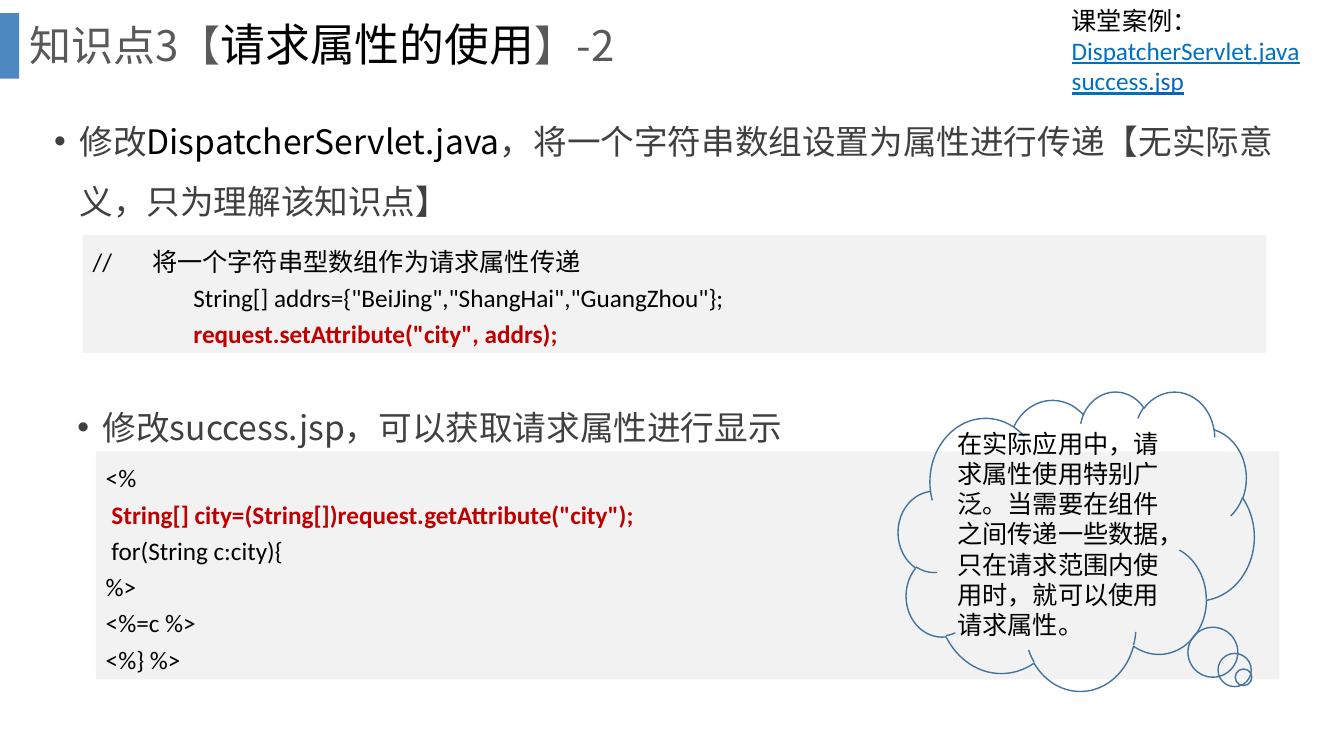
from lxml.etree import SubElement
from pptx import Presentation
from pptx.dml.color import RGBColor
from pptx.enum.shapes import MSO_SHAPE as Preset
from pptx.enum.text import MSO_ANCHOR as Anchor, PP_ALIGN as Align
from pptx.oxml.ns import qn
from pptx.util import Inches, Pt

BLUE = RGBColor(0x2E, 0x75, 0xB6)
OUTLINE = RGBColor(0x43, 0x73, 0x9E)
PANEL = RGBColor(0xF2, 0xF2, 0xF2)
BLACK = RGBColor(0, 0, 0)
TITLE_GREY = RGBColor(0x59, 0x59, 0x59)
BODY_GREY = RGBColor(0x40, 0x40, 0x40)
RED = RGBColor(0xC0, 0, 0)
FILE_BLUE = RGBColor(0, 0x70, 0xC0)
LINK_BLUE = RGBColor(0x05, 0x63, 0xC1)
CJK, LATIN = "Noto Sans CJK SC", "Calibri"

# Run formats: colour and font values
HEADING = (TITLE_GREY, {"name": CJK, "size": Pt(30)})
TOPIC = (BLACK, {"name": LATIN, "size": Pt(32)})
POINT = (BODY_GREY, {"name": CJK, "size": Pt(24)})
POINT_FILE = (BLACK, {"name": CJK, "size": Pt(24)})
PLAIN = (BLACK, {"name": LATIN, "size": Pt(18)})
KEY = (RED, {"name": LATIN, "size": Pt(18), "bold": True})
FILE = (FILE_BLUE, {"name": LATIN, "size": Pt(18), "underline": True})
LINK = (LINK_BLUE, {"name": LATIN, "size": Pt(18), "underline": True})

deck = Presentation()
deck.slide_width, deck.slide_height = Inches(13.33), Inches(7.5)
slide = deck.slides.add_slide(deck.slide_layouts[6])


def place(left, top, width, height):
    """Turn percentages of the slide into lengths."""
    across, down = deck.slide_width / 100, deck.slide_height / 100
    return [round(n) for n in (left * across, top * down, width * across, height * down)]


def write(frame, paragraphs, spacing=1.0, bullet=False, anchor=Anchor.TOP):
    """Fill a frame with paragraphs, each a list of (text, format) runs."""
    frame.word_wrap = True
    frame.vertical_anchor = anchor
    for i, runs in enumerate(paragraphs):
        paragraph = frame.paragraphs[0] if i == 0 else frame.add_paragraph()
        paragraph.alignment = Align.LEFT
        paragraph.line_spacing = spacing
        if bullet:
            properties = paragraph._p.get_or_add_pPr()
            properties.set("marL", str(Inches(0.25)))
            properties.set("indent", str(-Inches(0.25)))
            SubElement(properties, qn("a:buFont"), typeface="Arial")
            SubElement(properties, qn("a:buChar"), char="•")
        for text, (colour, values) in runs:
            run = paragraph.add_run()
            run.text = text
            run.font.color.rgb = colour
            for key, value in values.items():
                setattr(run.font, key, value)
            SubElement(run._r.get_or_add_rPr(), qn("a:ea"), typeface=CJK)


# Title with its accent bar
accent = slide.shapes.add_shape(Preset.RECTANGLE, *place(0, 1.73, 1.43, 8.67))
accent.shadow.inherit = False
accent.fill.solid()
accent.fill.fore_color.rgb = BLUE
SubElement(accent.fill._xPr.find(".//" + qn("a:srgbClr")), qn("a:alpha"), val="85000")
accent.line.fill.background()

title = slide.shapes.add_textbox(*place(1.43, 0, 94.97, 12.4))
write(title.text_frame, [[("知识点3【", HEADING), ("请求属性的使用", TOPIC), ("】-2", HEADING)]],
      spacing=0.9, anchor=Anchor.MIDDLE)

# Steps, each a bullet above a code panel
steps = [
    (place(3.3, 12.67, 93.32, 35.6),
     [("修改", POINT), ("DispatcherServlet.java", POINT_FILE),
      ("，将一个字符串数组设置为属性进行传递【无实际意义，只为理解该知识点】", POINT)],
     place(6.15, 31.07, 88.07, 15.6),
     [("//\t将一个字符串型数组作为请求属性传递", PLAIN),
      ('\t\tString[] addrs={"BeiJing","ShangHai","GuangZhou"};', PLAIN),
      ('\t\trequest.setAttribute("city", addrs);', KEY)]),
    (place(5.03, 50.53, 93.32, 10.4),
     [("修改success.jsp，可以获取请求属性进行显示", POINT)],
     place(7.13, 59.73, 88.07, 30.13),
     [("<%", PLAIN),
      (' String[] city=(String[])request.getAttribute("city");', KEY),
      (" for(String c:city){", PLAIN),
      ("%>", PLAIN),
      ("<%=c %>", PLAIN),
      ("<%} %>", PLAIN)]),
]
for point_box, point, code_box, code in steps:
    write(slide.shapes.add_textbox(*point_box).text_frame, [point], spacing=1.5, bullet=True)
    panel = slide.shapes.add_shape(Preset.RECTANGLE, *code_box)
    panel.shadow.inherit = False
    panel.fill.solid()
    panel.fill.fore_color.rgb = PANEL
    panel.line.fill.background()
    write(panel.text_frame, [[line] for line in code], spacing=1.2)
    # Tab stop that sets the comment text apart from its slashes
    if code[0][0].startswith("//"):
        comment = panel.text_frame.paragraphs[0]._p.get_or_add_pPr()
        stops = SubElement(comment, qn("a:tabLst"))
        SubElement(stops, qn("a:tab"), pos=str(Inches(0.59)), algn="l")

# Remark in a cloud
cloud = slide.shapes.add_shape(Preset.CLOUD_CALLOUT, *place(66.84, 51.73, 26.48, 39.6))
cloud.shadow.inherit = False
cloud.adjustments[0], cloud.adjustments[1] = 0.47, 0.456
cloud.fill.background()
cloud.line.color.rgb = OUTLINE
cloud.line.width = Pt(1)
remark = "在实际应用中，请求属性使用特别广泛。当需要在组件之间传递一些数据，只在请求范围内使用时，就可以使用请求属性。"
write(cloud.text_frame, [[(remark, PLAIN)]], anchor=Anchor.MIDDLE)

# Class example files
files = slide.shapes.add_textbox(*place(79, 0, 19.05, 13.47))
write(files.text_frame, [[("课堂案例：", PLAIN), ("DispatcherServlet.java", FILE)],
                         [("success", FILE), (".jsp", LINK)]])

deck.save("out.pptx")
